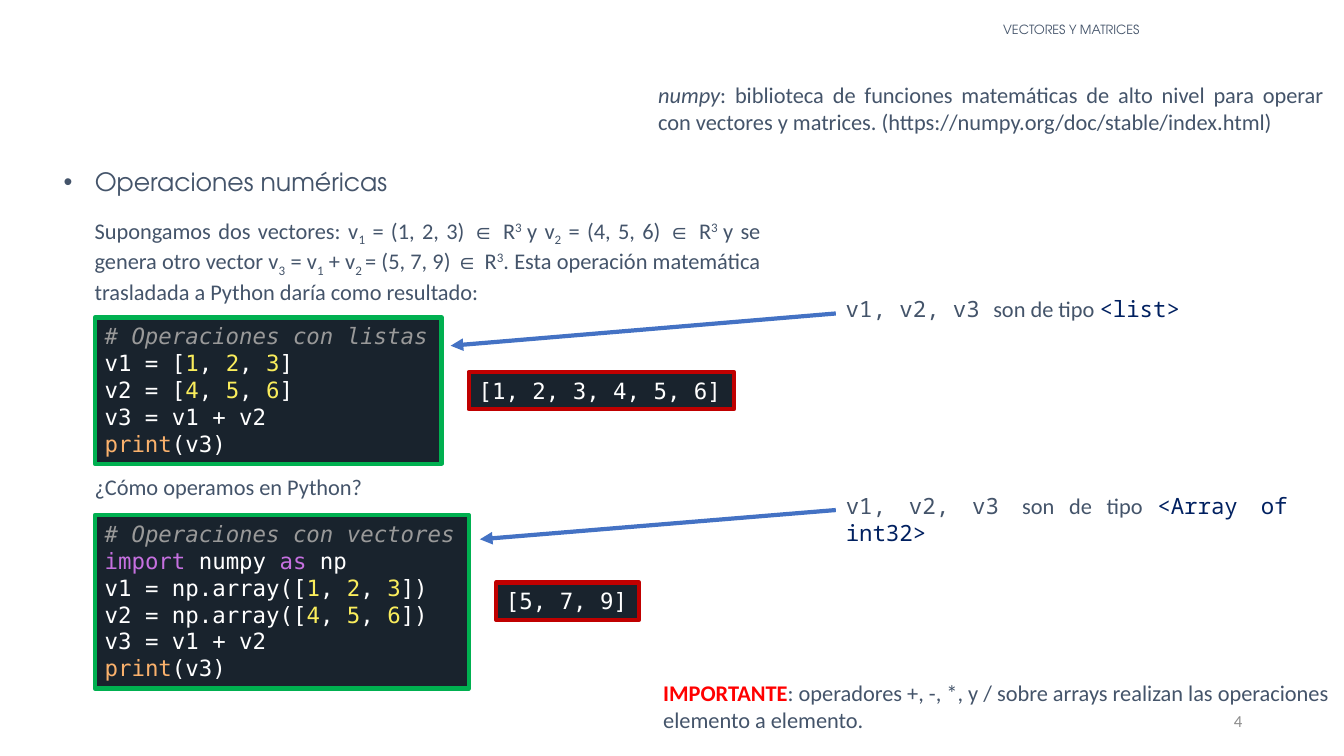
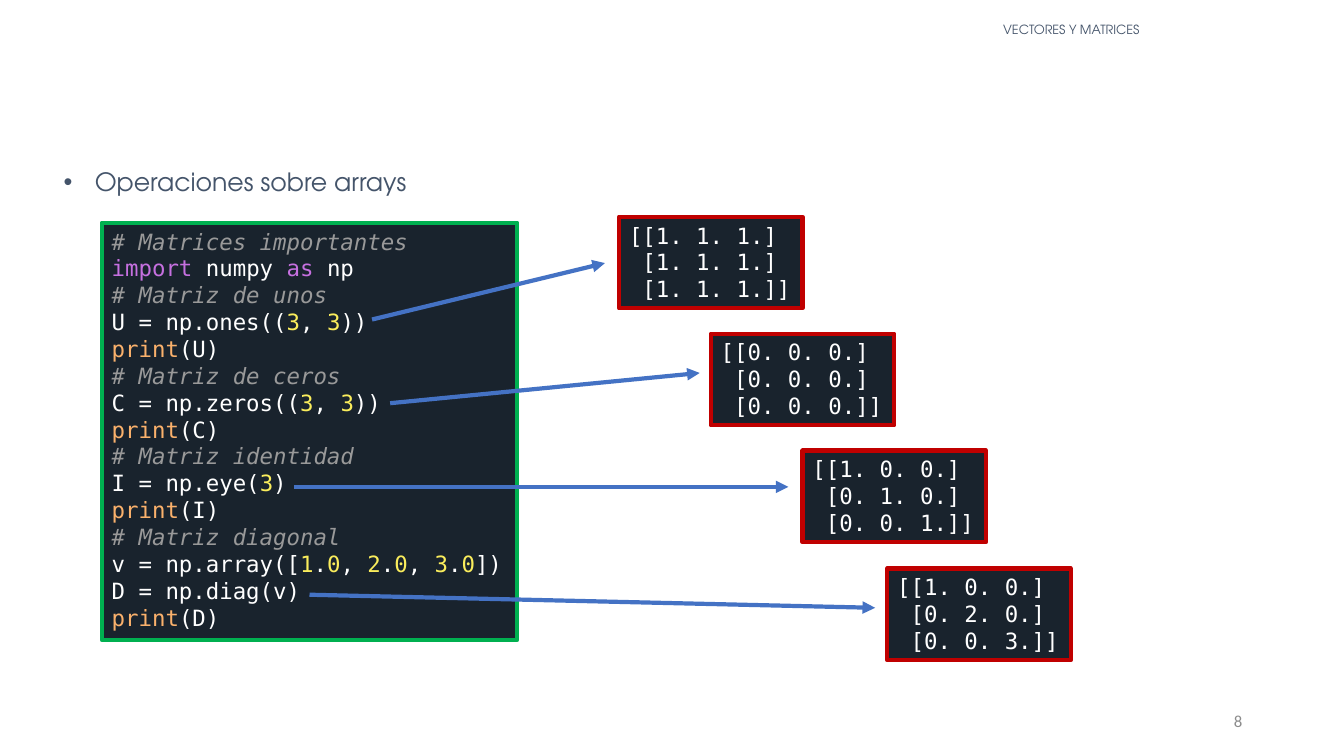
from itertools import groupby
from lxml.etree import SubElement as Sub
from pptx import Presentation
from pptx.dml.color import RGBColor
from pptx.enum.shapes import MSO_CONNECTOR as Conn, MSO_SHAPE as Shape
from pptx.enum.text import MSO_ANCHOR as Anchor, MSO_AUTO_SIZE as Auto, PP_ALIGN as Align
from pptx.oxml.ns import qn
from pptx.util import Pt

SCALE = 9144
HEAD, BODY, CODE, MONO = "TeX Gyre Adventor", "Calibri", "DejaVu Sans Mono", "Noto Sans Mono"
SLATE, NAVY, RED, GRAY = "44546A", "002060", "FF0000", "8C8C8C"
DARK, WHITE, GREEN, WINE, BLUE = "19232D", "FFFFFF", "00B050", "C00000", "4472C4"
NOTE, NUMBER = "999999", "FAED5C"
WORDS = {"import": "C670E0", "as": "C670E0", "print": "FAB16C"}
LOW, HIGH = {"base": -25000}, {"base": 30000}

LISTS = """# Operaciones con listas
v1 = [1, 2, 3]
v2 = [4, 5, 6]
v3 = v1 + v2
print(v3)"""
ARRAYS = """# Operaciones con vectores
import numpy as np
v1 = np.array([1, 2, 3])
v2 = np.array([4, 5, 6])
v3 = v1 + v2
print(v3)"""
MATRICES = """# Matrices importantes
import numpy as np
# Matriz de unos
U = np.ones((3, 3))
print(U)
# Matriz de ceros
C = np.zeros((3, 3))
print(C)
# Matriz identidad
I = np.eye(3)
print(I)
# Matriz diagonal
v = np.array([1.0, 2.0, 3.0])
D = np.diag(v)
print(D)"""
RESULTS = [
    (614, "[[1. 1. 1.]\n [1. 1. 1.]\n [1. 1. 1.]]", (600, 261), (369, 317)),
    (705, "[[0. 0. 0.]\n [0. 0. 0.]\n [0. 0. 0.]]", (694, 370), (387, 400)),
    (796, "[[1. 0. 0.]\n [0. 1. 0.]\n [0. 0. 1.]]", (782, 483), (292, 483)),
    (880, "[[1. 0. 0.]\n [0. 2. 0.]\n [0. 0. 3.]]", (868, 603), (307, 590)),
]


def px(*sizes):
    return [size * SCALE for size in sizes]


def paint(text):
    return RGBColor.from_string(text)


def write(frame, lines, font=BODY, size=16, color=SLATE, align=Align.LEFT,
          anchor=Anchor.TOP, wrap=True, fit=Auto.NONE):
    frame.word_wrap, frame.auto_size, frame.vertical_anchor = wrap, fit, anchor
    for i, line in enumerate(lines):
        para = frame.add_paragraph() if i else frame.paragraphs[0]
        para.alignment = align
        para.space_before = Pt(0)
        for text, look in line:
            run = para.add_run()
            run.text = text
            run.font.name = look.get("font", font)
            run.font.size = Pt(size)
            run.font.bold = look.get("bold", False)
            run.font.italic = look.get("italic", False)
            run.font.color.rgb = paint(look.get("color", color))
            if "base" in look:
                run.font._element.set("baseline", str(look["base"]))


def label(slide, box, *runs, align=Align.JUSTIFY, **form):
    frame = slide.shapes.add_textbox(*px(*box)).text_frame
    write(frame, [runs], align=align, **form)


def tokens(line):
    if line.startswith("#"):
        return [(line, {"color": NOTE, "italic": True})]
    parts = ["".join(group) for _, group in groupby(line, str.isalnum)]
    return [(part, {"color": NUMBER if part.isdigit() else WORDS.get(part, WHITE)})
            for part in parts]


def panel(slide, box, lines, edge):
    shape = slide.shapes.add_shape(Shape.RECTANGLE, *px(*box))
    shape.shadow.inherit = False
    shape.fill.solid()
    shape.fill.fore_color.rgb = paint(DARK)
    shape.line.color.rgb = paint(edge)
    shape.line.width = Pt(3)
    write(shape.text_frame, lines, font=CODE, color=WHITE, wrap=False,
          fit=Auto.SHAPE_TO_FIT_TEXT)


def source(slide, box, text):
    panel(slide, box, [tokens(line) for line in text.split("\n")], GREEN)


def output(slide, box, text):
    panel(slide, box, [[(line, {})] for line in text.split("\n")], WINE)


def arrow(slide, tip, tail):
    link = slide.shapes.add_connector(Conn.STRAIGHT, *px(*tip, *tail))
    link.line.color.rgb = paint(BLUE)
    link.line.width = Pt(3)
    Sub(link.line._get_or_add_ln(), qn("a:headEnd"), type="triangle")
    Sub(link._element.spPr, qn("a:effectLst"))


def place(shape, box):
    shape.left, shape.top, shape.width, shape.height = px(*box)
    return shape.text_frame


def start(deck, topic, page):
    slide = deck.slides.add_slide(deck.slide_layouts[1])
    title = place(slide.shapes.title, (797, 17, 531, 28))
    write(title, [[("VECTORES Y MATRICES", {})]], font=HEAD, size=9, align=Align.CENTER)
    body = place(slide.placeholders[1], (53, 160, 500, 40))
    props = body.paragraphs[0]._p.get_or_add_pPr()
    props.set("marL", str(31 * SCALE))
    props.set("indent", str(-31 * SCALE))
    write(body, [[(topic, {})]], font=HEAD, size=18)
    label(slide, (942, 695, 300, 40), (page, {}), size=12, color=GRAY,
          align=Align.RIGHT, anchor=Anchor.MIDDLE)
    return slide


def vectors(deck):
    slide = start(deck, "Operaciones numéricas", "4")
    within = [("∈ ", {"font": "Arial"}), ("R", {})]
    label(slide, (84, 210, 680, 91),
          ("Supongamos dos vectores: v", {}), ("1", LOW), (" = (1, 2, 3) ", {}),
          *within, ("3 ", HIGH), ("y v", {}), ("2", LOW), (" = (4, 5, 6) ", {}),
          *within, ("3 ", HIGH), ("y se genera otro vector v", {}), ("3", LOW),
          (" = v", {}), ("1", LOW), (" + v", {}), ("2 ", LOW), ("= (5, 7, 9) ", {}),
          *within, ("3", HIGH),
          (". Esta operación matemática trasladada a Python daría como resultado:", {}))
    source(slide, (94, 315, 344, 145), LISTS)
    output(slide, (465, 369, 263, 37), "[1, 2, 3, 4, 5, 6]")
    label(slide, (84, 464, 289, 37), ("¿Cómo operamos en Python?", {}))
    source(slide, (94, 511, 371, 172), ARRAYS)
    output(slide, (492, 578, 142, 37), "[5, 7, 9]")
    for top, width, kind, tip, tail in (
            (288, 353, "<list>", (447, 343), (829, 311)),
            (483, 458, "<Array of int32>", (476, 535), (829, 506))):
        arrow(slide, tip, tail)
        label(slide, (829, top, width, 37), ("v1, v2, v3 ", {"font": MONO}),
              ("son de tipo ", {}), (kind, {"font": MONO, "color": NAVY}))
    label(slide, (643, 76, 680, 64), ("numpy", {"italic": True}),
          (": biblioteca de funciones matemáticas de alto nivel para operar con "
           "vectores y matrices. (https://numpy.org/doc/stable/index.html)", {}))
    label(slide, (648, 669, 680, 64), ("IMPORTANTE", {"bold": True, "color": RED}),
          (": operadores +, -, *, y / sobre arrays realizan las operaciones "
           "elemento a elemento.", {}))


def matrices(deck):
    slide = start(deck, "Operaciones sobre arrays", "8")
    source(slide, (101, 221, 412, 414), MATRICES)
    for i, (left, text, tip, tail) in enumerate(RESULTS):
        output(slide, (left, 215 + i * 349 // 3, 182, 91), text)
        arrow(slide, tip, tail)


def main():
    deck = Presentation()
    deck.slide_width, deck.slide_height = px(1333, 750)
    vectors(deck)
    matrices(deck)
    deck.save("out.pptx")


if __name__ == "__main__":
    main()
